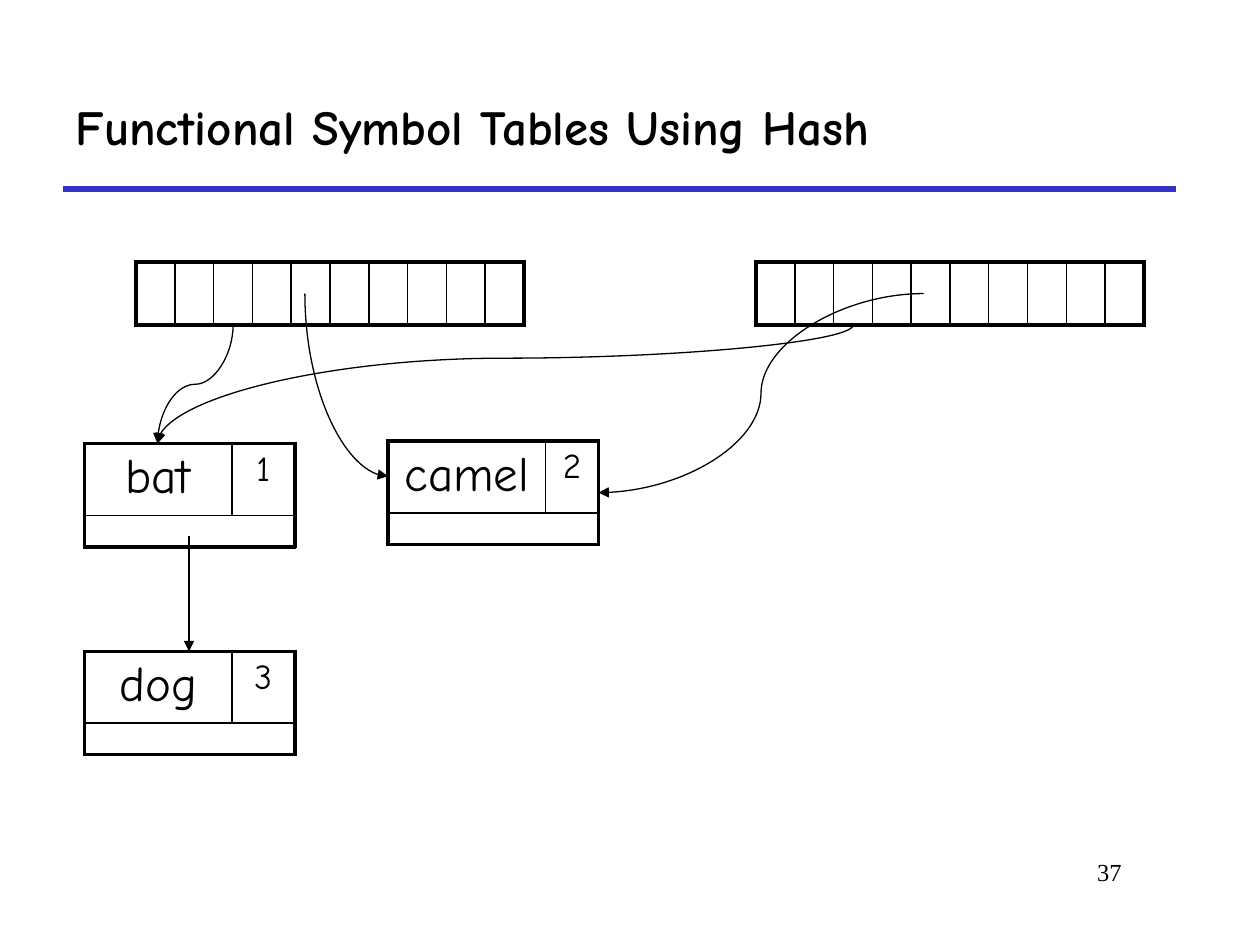
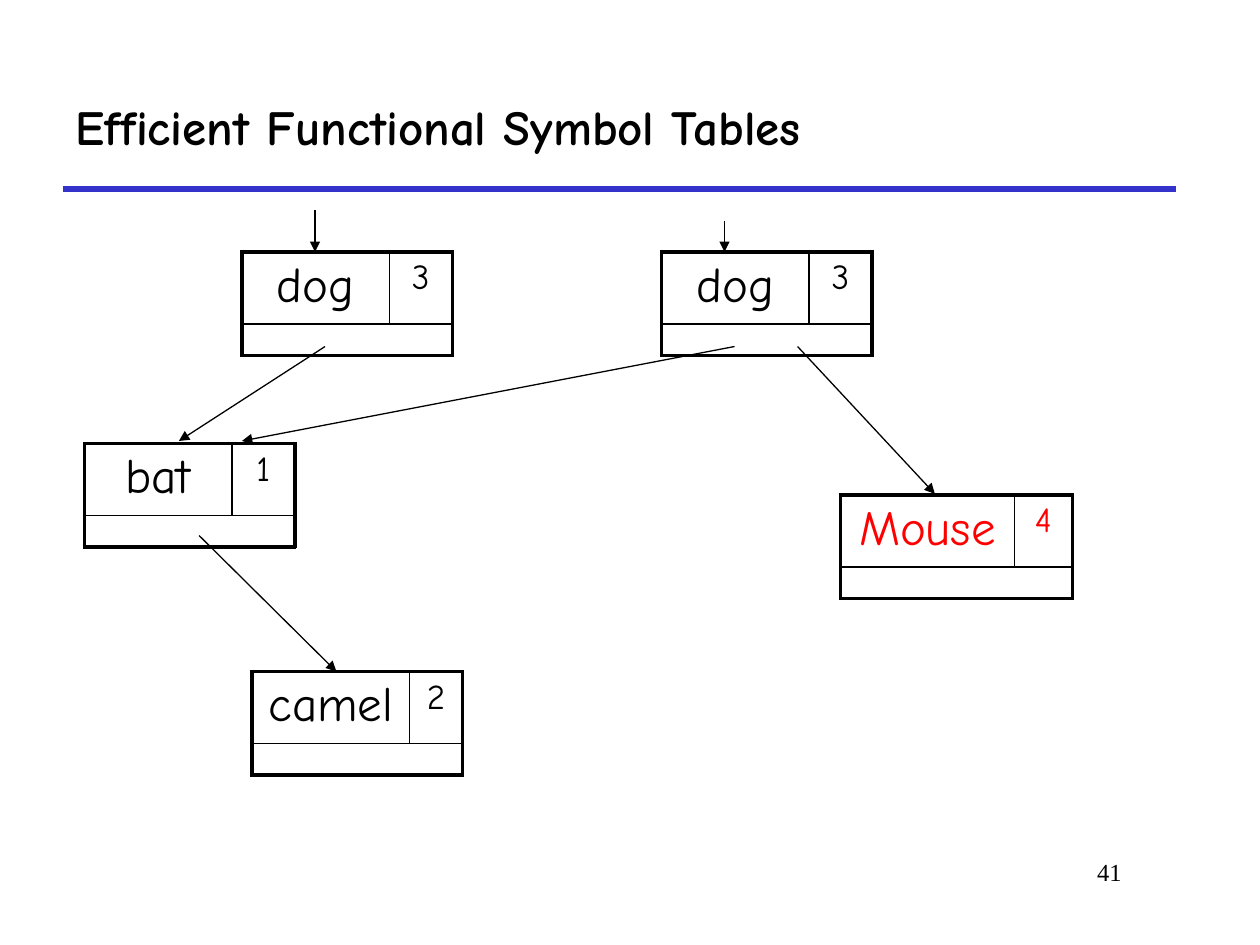
"""Build two slides on functional symbol tables: hash buckets and a binary tree."""
from math import copysign

from lxml import etree
from pptx import Presentation
from pptx.dml.color import RGBColor
from pptx.enum.shapes import MSO_CONNECTOR
from pptx.enum.text import MSO_ANCHOR, PP_ALIGN
from pptx.oxml.ns import qn
from pptx.util import Inches, Pt

BLACK = RGBColor(0x00, 0x00, 0x00)
RED = RGBColor(0xFF, 0x00, 0x00)
RULE_BLUE = RGBColor(0x33, 0x33, 0xCC)
STRAIGHT, CURVE = MSO_CONNECTOR.STRAIGHT, MSO_CONNECTOR.CURVE
LEFT, CENTER, RIGHT = PP_ALIGN.LEFT, PP_ALIGN.CENTER, PP_ALIGN.RIGHT
MIDDLE, TOP = MSO_ANCHOR.MIDDLE, MSO_ANCHOR.TOP

HAND_FONT = "Comic Neue"
TITLE_FORMAT = {"name": HAND_FONT, "size": Pt(28), "bold": True}
NUMBER_FORMAT = {"name": "Times New Roman", "size": Pt(14)}
NODE_FORMATS = [{"name": HAND_FONT, "size": Pt(28)}, {"name": HAND_FONT, "size": Pt(20)}]
OUTER_WIDTH, INNER_WIDTH = Pt(2.25), Pt(1)
NODE_HEIGHTS = [0.57, 0.25]
BUCKET_COUNT, BUCKET_WIDTH, BUCKET_HEIGHT = 10, 0.308, 0.5


def draw_table(slide, left, top, widths, heights, words=(), color=BLACK):
    """Draw a boxed grid; words fill the first row and a second row is one merged cell."""
    frame = slide.shapes.add_table(len(heights), len(widths), Inches(left), Inches(top),
                                   Inches(sum(widths)), Inches(sum(heights)))
    grid = frame.table
    grid.first_row = grid.horz_banding = False
    for column, width in zip(grid.columns, widths):
        column.width = Inches(width)
    for row, height in zip(grid.rows, heights):
        row.height = Inches(height)
    if len(heights) > 1:
        grid.cell(1, 0).merge(grid.cell(1, len(widths) - 1))
    last_row, last_column = len(heights) - 1, len(widths) - 1
    for r in range(len(heights)):
        for c in range(len(widths)):
            cell = grid.cell(r, c)
            cell.fill.background()
            paragraph = cell.text_frame.paragraphs[0]
            if r == 0 and words:
                paragraph.alignment = CENTER
                run = paragraph.add_run()
                run.text = words[c]
                run.font.color.rgb = color
                for attribute, value in NODE_FORMATS[c].items():
                    setattr(run.font, attribute, value)
            else:
                cell.margin_top = cell.margin_bottom = 0
                paragraph._p.get_or_add_endParaRPr().set("sz", "800")
            merged = r == 1
            edges = {"lnL": c == 0 or merged, "lnR": c == last_column or merged,
                     "lnT": r == 0, "lnB": r == last_row}
            properties = cell._tc.get_or_add_tcPr()
            for position, (edge, is_outer) in enumerate(edges.items()):
                border = etree.Element(qn(f"a:{edge}"), w=str(OUTER_WIDTH if is_outer else INNER_WIDTH))
                fill = etree.SubElement(border, qn("a:solidFill"))
                etree.SubElement(fill, qn("a:srgbClr"), val=str(BLACK))
                properties.insert(position, border)


def draw_line(slide, start, end, preset="line", adjust=None, turned=False,
              color=BLACK, width=0.75, arrow=True):
    """Draw a line or curve; a turned curve leaves its start vertically."""
    (x1, y1), (x2, y2) = start, end
    dx, dy = x2 - x1, y2 - y1
    if turned:
        middle_x, middle_y = (x1 + x2) / 2, (y1 + y2) / 2
        reach = copysign(dy / 2, -dx)
        x1, x2 = middle_x - reach, middle_x + reach
        y1, y2 = middle_y - abs(dx) / 2, middle_y + abs(dx) / 2
    line = slide.shapes.add_connector(STRAIGHT if preset == "line" else CURVE,
                                      *[Inches(v) for v in (x1, y1, x2, y2)])
    line.line.color.rgb = color
    line.line.width = Pt(width)
    properties = line._element.spPr
    if turned:
        properties.find(qn("a:xfrm")).set("rot", str((90 if dx < 0 else 270) * 60000))
    geometry = properties.find(qn("a:prstGeom"))
    geometry.set("prst", preset)
    if adjust is not None:
        guides = geometry.find(qn("a:avLst"))
        if guides is None:
            guides = etree.SubElement(geometry, qn("a:avLst"))
        etree.SubElement(guides, qn("a:gd"), name="adj1", fmla=f"val {round(adjust * 100000)}")
    if arrow:
        etree.SubElement(properties.find(qn("a:ln")), qn("a:tailEnd"), type="triangle")
    etree.SubElement(properties, qn("a:effectLst"))


presentation = Presentation()
presentation.slide_width, presentation.slide_height = Inches(10), Inches(7.5)

slides = []
for heading, number in [("Functional Symbol Tables Using Hash", "37"),
                        ("Efficient Functional Symbol Tables", "41")]:
    slide = presentation.slides.add_slide(presentation.slide_layouts[5])
    slides.append(slide)
    draw_line(slide, (0.5, 1.5), (9.33, 1.5), color=RULE_BLUE, width=3, arrow=False)
    page_number = slide.shapes.add_textbox(0, 0, 0, 0)
    for box, words, place, font_format, alignment, anchor in [
            (slide.shapes.title, heading, (0.5, 0.5, 8.83, 1), TITLE_FORMAT, LEFT, MIDDLE),
            (page_number, number, (6.92, 6.75, 2.08, 0.5), NUMBER_FORMAT, RIGHT, TOP)]:
        box.left, box.top, box.width, box.height = [Inches(v) for v in place]
        box.text_frame.text = words
        box.text_frame.word_wrap = True
        box.text_frame.vertical_anchor = anchor
        paragraph = box.text_frame.paragraphs[0]
        paragraph.alignment = alignment
        font = paragraph.runs[0].font
        font.color.rgb = BLACK
        for attribute, value in font_format.items():
            setattr(font, attribute, value)

hash_slide, tree_slide = slides

for left in (1.08, 6):
    draw_table(hash_slide, left, 2.08, [BUCKET_WIDTH] * BUCKET_COUNT, [BUCKET_HEIGHT])

NODE_WIDTHS = {"bat": [1.17, 0.5], "dog": [1.17, 0.5], "camel": [1.25, 0.42], "Mouse": [1.38, 0.46]}
for slide, left, top, key, value, color in [
        (hash_slide, 0.67, 3.52, "bat", "1", BLACK),
        (hash_slide, 3.08, 3.5, "camel", "2", BLACK),
        (hash_slide, 0.67, 5.17, "dog", "3", BLACK),
        (tree_slide, 0.67, 3.52, "bat", "1", BLACK),
        (tree_slide, 2, 5.33, "camel", "2", BLACK),
        (tree_slide, 1.92, 2, "dog", "3", BLACK),
        (tree_slide, 6.67, 3.93, "Mouse", "4", RED),
        (tree_slide, 5.25, 2, "dog", "3", BLACK)]:
    draw_table(slide, left, top, NODE_WIDTHS[key], NODE_HEIGHTS, (key, value), color)

draw_line(hash_slide, (1.5, 4.25), (1.5, 5.17))
for start, end, preset, adjust, turned in [
        ((1.85, 2.58), (1.25, 3.52), "curvedConnector3", 0.5, True),
        ((2.42, 2.33), (3.08, 3.78), "curvedConnector2", None, True),
        ((6.77, 2.58), (1.25, 3.52), "curvedConnector3", 0.28, True),
        ((7.33, 2.33), (4.75, 3.91), "curvedConnector3", 0.5, False)]:
    draw_line(hash_slide, start, end, preset, adjust, turned)

for start, end in [((2.58, 2.75), (1.42, 3.5)), ((1.58, 4.25), (2.67, 5.33)),
                   ((2.5, 1.67), (2.5, 2)), ((5.75, 1.75), (5.75, 2)),
                   ((5.83, 2.75), (1.92, 3.5)), ((6.33, 2.75), (7.42, 3.92))]:
    draw_line(tree_slide, start, end)

presentation.save("out.pptx")
